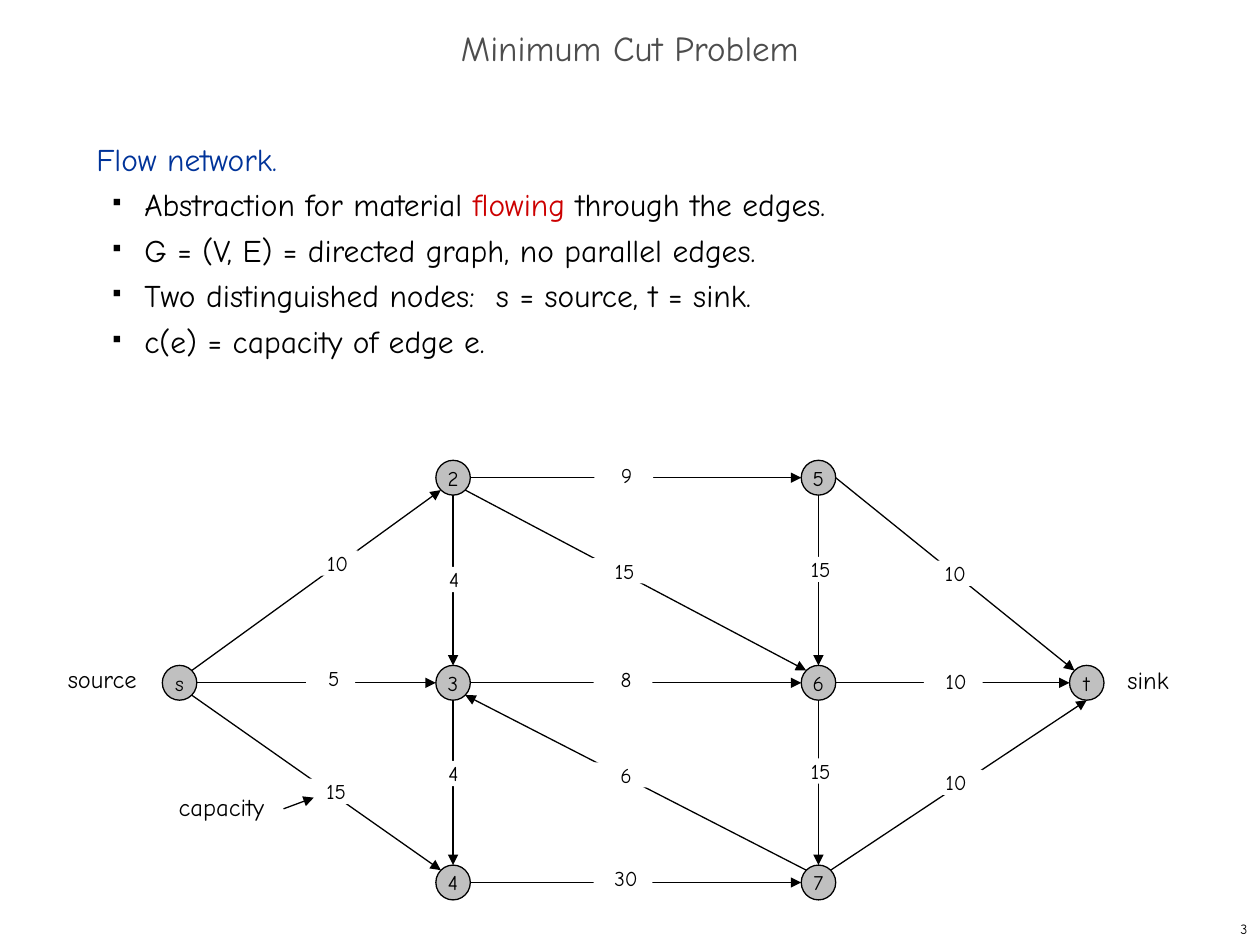
from dataclasses import dataclass

from lxml import etree
from pptx import Presentation
from pptx.dml.color import RGBColor
from pptx.enum.shapes import MSO_CONNECTOR, MSO_SHAPE
from pptx.enum.text import MSO_ANCHOR, MSO_AUTO_SIZE, PP_ALIGN
from pptx.oxml.ns import qn
from pptx.util import Pt

STRAIGHT = MSO_CONNECTOR.STRAIGHT
OVAL, RECTANGLE = MSO_SHAPE.OVAL, MSO_SHAPE.RECTANGLE
TOP, MIDDLE = MSO_ANCHOR.TOP, MSO_ANCHOR.MIDDLE
LEFT, CENTER, RIGHT = PP_ALIGN.LEFT, PP_ALIGN.CENTER, PP_ALIGN.RIGHT
NO_AUTOFIT = MSO_AUTO_SIZE.NONE


@dataclass(frozen=True)
class Theme:
    font: str = "Comic Neue"
    ink: str = "000000"
    title: str = "4D4D4D"
    heading: str = "003399"
    accent: str = "CC0000"
    node: str = "C0C0C0"
    paper: str = "FFFFFF"
    title_size: float = 20
    body_size: float = 18
    caption_size: float = 14
    graph_size: float = 12
    number_size: float = 8
    line: float = 0.75


THEME = Theme()

TITLE = "Minimum Cut Problem"
HEADING = "Flow network."
# Each bullet is a list of (text, colour) spans.
BULLETS = [
    [("Abstraction for material ", THEME.ink), ("flowing", THEME.accent),
     (" through the edges.", THEME.ink)],
    [("G = (V, E) = directed graph, no parallel edges.", THEME.ink)],
    [("Two distinguished nodes:  s = source, t = sink.", THEME.ink)],
    [("c(e) = capacity of edge e.", THEME.ink)],
]
PAGE_NUMBER = "3"

COLUMNS = (102.6, 258.9, 467.7, 621)
ROWS = (273, 390.2, 504.3)
NODE_WIDTH, NODE_HEIGHT = 19.7, 19.9
NODES = {  # name: (column, row)
    "s": (0, 1), "2": (1, 0), "3": (1, 1), "4": (1, 2),
    "5": (2, 0), "6": (2, 1), "7": (2, 2), "t": (3, 1),
}
DIAGONAL = 0.71
SIDES = {
    "N": (0, -1), "S": (0, 1), "W": (-1, 0), "E": (1, 0),
    "NW": (-DIAGONAL, -DIAGONAL), "NE": (DIAGONAL, -DIAGONAL),
    "SW": (-DIAGONAL, DIAGONAL), "SE": (DIAGONAL, DIAGONAL),
}
LABEL_WIDTH, LABEL_HEIGHT = 33.6, 14.4
NUDGE, WIDE_NUDGE = 3.4, 10.6
# start, side, end, side, capacity, label centre x, y
EDGES = [
    ("s", "NE", "2", "SW", "10", 187.6, 321.8),
    ("s", "E", "3", "W", "5", 189, 387.4),
    ("s", "SE", "4", "NW", "15", 190.4, 452.2),
    ("2", "E", "5", "W", "9", 356.4, 271.4),
    ("2", "SE", "6", "NW", "15", 355.3, 326.2),
    ("2", "S", "3", "N", "4", 257.8, 331.2),
    ("3", "E", "6", "W", "8", 356, 388),
    ("3", "S", "4", "N", "4", 257.4, 442),
    ("7", "NW", "3", "SE", "6", 356, 442.8),
    ("4", "E", "7", "W", "30", 356, 501.8),
    ("5", "S", "6", "N", "15", 467.3, 325.4),
    ("6", "S", "7", "N", "15", 467.3, 440.6),
    ("5", "E", "t", "NW", "10", 540.7, 327.6),
    ("6", "E", "t", "W", "10", 544.7, 389.5),
    ("7", "NE", "t", "S", "10", 544.7, 447.1),
]
WIDE_NUDGED = {("s", "2"), ("5", "t")}
CAPTIONS = [  # text, left, top, width
    ("capacity", 95, 449.3, 63.4),
    ("source", 31.7, 375.8, 54),
    ("sink", 637.2, 376.5, 38.2),
]
CAPTION_HEIGHT = 23.8
CAPACITY_POINTER = ((162, 462.2), (179.3, 455.8))


def color(value):
    return RGBColor.from_string(value)


def style(paragraph, size, ink=THEME.ink, align=LEFT):
    paragraph.alignment = align
    font = paragraph.font
    font.name, font.size = THEME.font, Pt(size)
    font.color.rgb = color(ink)


def fill_frame(frame, text, size, ink=THEME.ink, align=LEFT, anchor=TOP, wrap=False):
    frame.text = text
    frame.word_wrap = wrap
    frame.vertical_anchor = anchor
    frame.auto_size = NO_AUTOFIT
    style(frame.paragraphs[0], size, ink, align)


def add_text(page, bounds, *args, **options):
    box = page.shapes.add_textbox(*map(Pt, bounds))
    fill_frame(box.text_frame, *args, **options)
    return box.text_frame


def add_centered_shape(page, kind, x, y, width, height, fill):
    shape = page.shapes.add_shape(
        kind, Pt(x - width / 2), Pt(y - height / 2), Pt(width), Pt(height))
    shape.shadow.inherit = False
    shape.fill.solid()
    shape.fill.fore_color.rgb = color(fill)
    return shape


def add_arrow(page, start, end):
    arrow = page.shapes.add_connector(STRAIGHT, *map(Pt, (*start, *end)))
    arrow.line.color.rgb = color(THEME.ink)
    arrow.line.width = Pt(THEME.line)
    properties = arrow._element.spPr
    etree.SubElement(properties.find(qn("a:ln")), qn("a:tailEnd"), type="triangle")
    etree.SubElement(properties, qn("a:effectLst"))


def add_bullet(paragraph):
    properties = paragraph._p.get_or_add_pPr()
    properties.set("marL", str(Pt(27.4)))
    properties.set("indent", str(-Pt(18)))
    marks = [etree.Element(qn("a:buClr")),
             etree.Element(qn("a:buSzPct"), val="35000"),
             etree.Element(qn("a:buChar"), char="■")]
    etree.SubElement(marks[0], qn("a:srgbClr"), val=THEME.ink)
    default_font = properties.find(qn("a:defRPr"))
    for mark in marks:
        default_font.addprevious(mark)


def add_body(page):
    frame = add_text(page, (48, 72, 618, 426), HEADING, THEME.body_size,
                     THEME.heading, wrap=True)
    for spans in BULLETS:
        paragraph = frame.add_paragraph()
        style(paragraph, THEME.body_size)
        for text, ink in spans:
            span = paragraph.add_run()
            span.text = text
            if ink != THEME.ink:
                span.font.color.rgb = color(ink)
    for paragraph in frame.paragraphs:
        paragraph.line_spacing = Pt(26)
    for paragraph in frame.paragraphs[1:]:
        add_bullet(paragraph)


def node_center(name):
    column, row = NODES[name]
    return COLUMNS[column], ROWS[row]


def node_side(name, side):
    (x, y), (across, down) = node_center(name), SIDES[side]
    return x + across * NODE_WIDTH / 2, y + down * NODE_HEIGHT / 2


def add_graph(page):
    for name in NODES:
        node = add_centered_shape(page, OVAL, *node_center(name),
                                  NODE_WIDTH, NODE_HEIGHT, THEME.node)
        node.line.color.rgb = color(THEME.ink)
        node.line.width = Pt(THEME.line)
        fill_frame(node.text_frame, name, THEME.graph_size, align=CENTER, anchor=MIDDLE)
    for start, start_side, end, end_side, *_ in EDGES:
        add_arrow(page, node_side(start, start_side), node_side(end, end_side))
    for start, _, end, _, capacity, x, y in EDGES:
        width = 28 if (start, end) == ("s", "3") else LABEL_WIDTH
        label = add_centered_shape(page, RECTANGLE, x, y, width, LABEL_HEIGHT, THEME.paper)
        label.line.fill.background()
        frame = label.text_frame
        fill_frame(frame, capacity, THEME.graph_size, align=CENTER, wrap=True)
        frame.margin_top = frame.margin_bottom = frame.margin_right = 0
        frame.margin_left = Pt(WIDE_NUDGE if (start, end) in WIDE_NUDGED else NUDGE)


def main():
    deck = Presentation()
    deck.slide_width, deck.slide_height = Pt(720), Pt(540)
    page = deck.slides.add_slide(deck.slide_layouts[5])
    title = page.shapes.title
    title.left, title.top, title.width, title.height = map(Pt, (0, 12, 720, 36))
    fill_frame(title.text_frame, TITLE, THEME.title_size, THEME.title, CENTER, MIDDLE, True)
    title.text_frame.paragraphs[0].line_spacing = 0.7
    add_body(page)
    add_graph(page)
    for text, left, top, width in CAPTIONS:
        add_text(page, (left, top, width, CAPTION_HEIGHT), text, THEME.caption_size)
    add_arrow(page, *CAPACITY_POINTER)
    add_text(page, (570, 522, 150, 18), PAGE_NUMBER, THEME.number_size,
             align=RIGHT, anchor=MIDDLE, wrap=True)
    deck.save("out.pptx")


if __name__ == "__main__":
    main()
